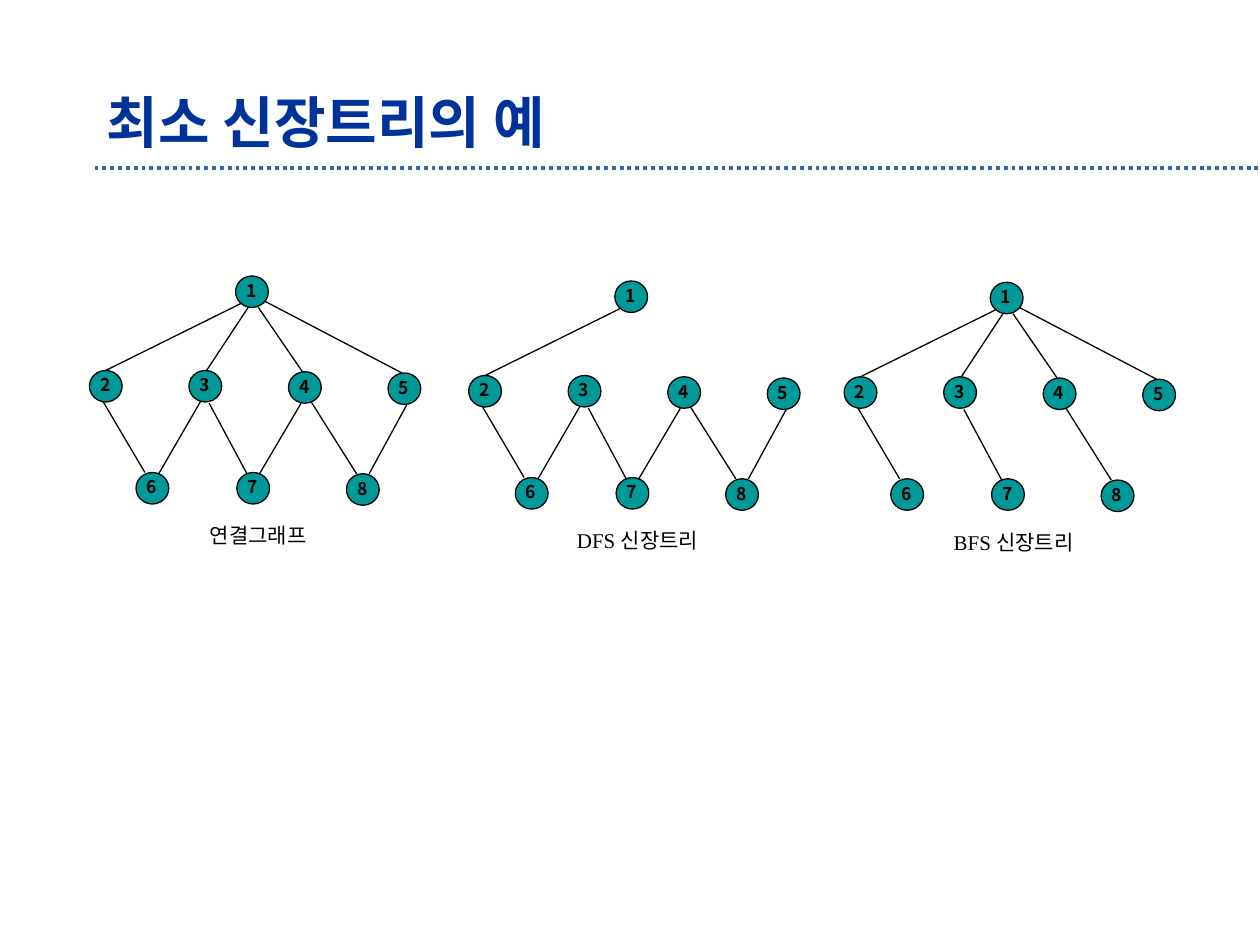
from lxml import etree
from pptx import Presentation
from pptx.dml.color import RGBColor
from pptx.enum.dml import MSO_LINE
from pptx.enum.shapes import MSO_CONNECTOR, MSO_SHAPE
from pptx.enum.text import MSO_ANCHOR, PP_ALIGN
from pptx.oxml.ns import qn
from pptx.util import Inches, Pt

STRAIGHT = MSO_CONNECTOR.STRAIGHT
OVAL = MSO_SHAPE.OVAL
MIDDLE = MSO_ANCHOR.MIDDLE
LEFT, CENTER = PP_ALIGN.LEFT, PP_ALIGN.CENTER
DOTTED = MSO_LINE.ROUND_DOT

BLACK = RGBColor(0x00, 0x00, 0x00)
TEAL = RGBColor(0x00, 0x99, 0x99)
TITLE_BLUE = RGBColor(0x00, 0x33, 0x99)
RULE_BLUE = RGBColor(0x33, 0x66, 0x99)
KOREAN_FONT = "Noto Sans CJK KR"

TITLE_FONT = {"size": Pt(32), "bold": True, "name": KOREAN_FONT}
NODE_FONT = {"size": Pt(10), "bold": True, "name": KOREAN_FONT}
CAPTION_FONT = {"size": Pt(12), "bold": False, "name": "Times New Roman"}
TITLE_FRAME = {"word_wrap": True, "vertical_anchor": MIDDLE}
LABEL_FRAME = {
    "word_wrap": False, "vertical_anchor": MIDDLE, "margin_left": 0, "margin_right": 0,
}

presentation = Presentation()
presentation.slide_width = Inches(10)
presentation.slide_height = Inches(7.5)
slide = presentation.slides.add_slide(presentation.slide_layouts[6])
COLUMN = presentation.slide_width // 1000
ROW = presentation.slide_height // 750


def add_text(shapes, text, box, frame_format, font_format, color, alignment):
    left, top, width, height = box
    text_box = shapes.add_textbox(left * COLUMN, top * ROW, width * COLUMN, height * ROW)
    for name, value in frame_format.items():
        setattr(text_box.text_frame, name, value)
    paragraph = text_box.text_frame.paragraphs[0]
    paragraph.alignment = alignment
    run = paragraph.add_run()
    run.text = text
    for name, value in font_format.items():
        setattr(run.font, name, value)
    run.font.color.rgb = color
    east_asian = etree.SubElement(run.font._element, qn("a:ea"))
    east_asian.set("typeface", KOREAN_FONT)


def add_line(shapes, start, end, color, width):
    line = shapes.add_connector(
        STRAIGHT, start[0] * COLUMN, start[1] * ROW, end[0] * COLUMN, end[1] * ROW
    )
    line.line.color.rgb = color
    line.line.width = Pt(width)
    etree.SubElement(line._element.spPr, qn("a:effectLst"))
    return line


title_rule = add_line(slide.shapes, (75, 133), (1000, 133), RULE_BLUE, 2.25)
title_rule.line.dash_style = DOTTED
title_box = (75, 67, 858, 58)
add_text(slide.shapes, "최소 신장트리의 예", title_box, TITLE_FRAME, TITLE_FONT, TITLE_BLUE, LEFT)

NODES = {
    1: (116, 0),
    2: (0, 75), 3: (79, 75), 4: (158, 76), 5: (237, 77),
    6: (37, 156), 7: (117, 156), 8: (204, 157),
}
EDGES = {
    (1, 2): ((120, 22), (13, 75)),
    (1, 3): ((126, 25), (93, 75)),
    (1, 4): ((134, 25), (169, 76)),
    (1, 5): ((139, 20), (248, 77)),
    (2, 6): ((11, 100), (44, 156)),
    (3, 6): ((88, 100), (55, 157)),
    (3, 7): ((95, 101), (125, 157)),
    (4, 7): ((168, 101), (135, 157)),
    (4, 8): ((176, 100), (212, 157)),
    (5, 8): ((252, 102), (222, 157)),
}
DFS_EDGES = [(1, 2), (2, 6), (3, 6), (3, 7), (4, 7), (4, 8), (5, 8)]
BFS_EDGES = [(1, 2), (1, 3), (1, 4), (1, 5), (2, 6), (3, 7), (4, 8)]
GRAPHS = [
    ("연결그래프", 71, 219, 96, list(EDGES)),
    ("DFS 신장트리", 372, 223, 120, DFS_EDGES),
    ("BFS 신장트리", 670, 224, 119, BFS_EDGES),
]

for caption, left, top, caption_width, edges in GRAPHS:
    shapes = slide.shapes.add_group_shape().shapes
    for edge in edges:
        start, end = [(left + x, top + y) for x, y in EDGES[edge]]
        add_line(shapes, start, end, BLACK, 0.75)
    for number, (x, y) in NODES.items():
        node = shapes.add_shape(
            OVAL, (left + x) * COLUMN, (top + y) * ROW, 26 * COLUMN, 25 * ROW
        )
        node.shadow.inherit = False
        node.fill.solid()
        node.fill.fore_color.rgb = TEAL
        node.line.color.rgb = BLACK
        node.line.width = Pt(0.75)
        label_box = (left + x - 1, top + y - 2, 27, 27)
        add_text(shapes, str(number), label_box, LABEL_FRAME, NODE_FONT, BLACK, CENTER)
    caption_box = (left + 134 - caption_width // 2, top + 191, caption_width, 30)
    add_text(shapes, caption, caption_box, LABEL_FRAME, CAPTION_FONT, BLACK, CENTER)

presentation.save("out.pptx")
